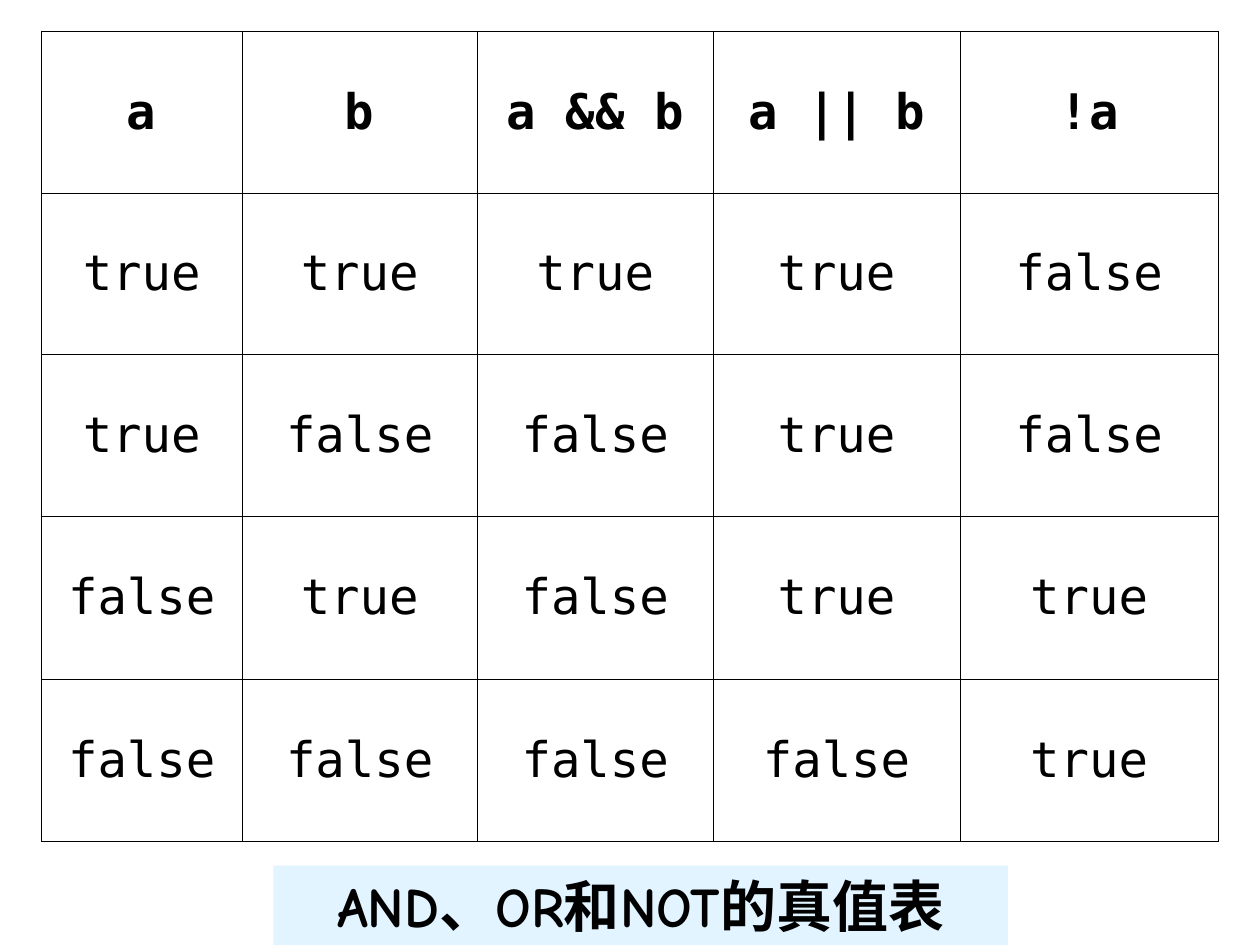
"""Build a slide with the truth table of AND, OR and NOT."""
import dataclasses
import itertools

import lxml.etree
import pptx
import pptx.dml.color
import pptx.enum.shapes
import pptx.enum.text
import pptx.oxml.ns
import pptx.util


@dataclasses.dataclass(frozen=True)
class Theme:
    ink: str = "000000"
    caption_fill: str = "E1F4FF"
    code_font: str = "DejaVu Sans Mono"
    caption_font: str = "Comic Neue"
    code_size: int = 28
    caption_size: int = 32
    border_width: float = 0.34


theme = Theme()
Inches = pptx.util.Inches
Pt = pptx.util.Pt
RGBColor = pptx.dml.color.RGBColor


def write(frame, text, font, size, bold):
    paragraph = frame.paragraphs[0]
    paragraph.alignment = pptx.enum.text.PP_ALIGN.CENTER
    run = paragraph.add_run()
    run.text = text
    run.font.name = font
    run.font.size = Pt(size)
    run.font.bold = bold
    run.font.color.rgb = RGBColor.from_string(theme.ink)
    return paragraph


def draw_borders(cell):
    qn = pptx.oxml.ns.qn
    properties = cell._tc.get_or_add_tcPr()
    for side in ("a:lnL", "a:lnR", "a:lnT", "a:lnB"):
        border = lxml.etree.SubElement(properties, qn(side), w=str(Pt(theme.border_width)))
        fill = lxml.etree.SubElement(border, qn("a:solidFill"))
        lxml.etree.SubElement(fill, qn("a:srgbClr"), val=theme.ink)


presentation = pptx.Presentation()
presentation.slide_width = Inches(10)
presentation.slide_height = Inches(7.5)
slide = presentation.slides.add_slide(presentation.slide_layouts[6])

caption = slide.shapes.add_shape(
    pptx.enum.shapes.MSO_SHAPE.RECTANGLE, Inches(2.17), Inches(6.87), Inches(5.83), Inches(0.64)
)
caption.shadow.inherit = False
caption.fill.solid()
caption.fill.fore_color.rgb = RGBColor.from_string(theme.caption_fill)
caption.line.fill.background()
caption.text_frame.word_wrap = True
caption.text_frame.auto_size = pptx.enum.text.MSO_AUTO_SIZE.SHAPE_TO_FIT_TEXT
caption.text_frame.vertical_anchor = pptx.enum.text.MSO_ANCHOR.TOP
caption_line = write(
    caption.text_frame, "AND、OR和NOT的真值表", theme.caption_font, theme.caption_size, True
)
caption_line.space_before = Pt(20)

truth_rows = [["a", "b", "a && b", "a || b", "!a"]]
for a, b in itertools.product((True, False), repeat=2):
    truth_rows.append([str(value).lower() for value in (a, b, a and b, a or b, not a)])

column_widths = [1.59, 1.87, 1.87, 1.96, 2.05]
row_heights = [1.28, 1.28, 1.29, 1.29, 1.29]
truth_table = slide.shapes.add_table(
    len(row_heights), len(column_widths), Inches(0.33), Inches(0.25), Inches(9.34), Inches(6.42)
).table
truth_table.first_row = False
truth_table.horz_banding = False
for column, width in zip(truth_table.columns, column_widths):
    column.width = Inches(width)

for r, (values, height) in enumerate(zip(truth_rows, row_heights)):
    truth_table.rows[r].height = Inches(height)
    for c, value in enumerate(values):
        cell = truth_table.cell(r, c)
        draw_borders(cell)
        cell.fill.background()
        cell.vertical_anchor = pptx.enum.text.MSO_ANCHOR.MIDDLE
        write(cell.text_frame, value, theme.code_font, theme.code_size, r == 0)

presentation.save("out.pptx")
